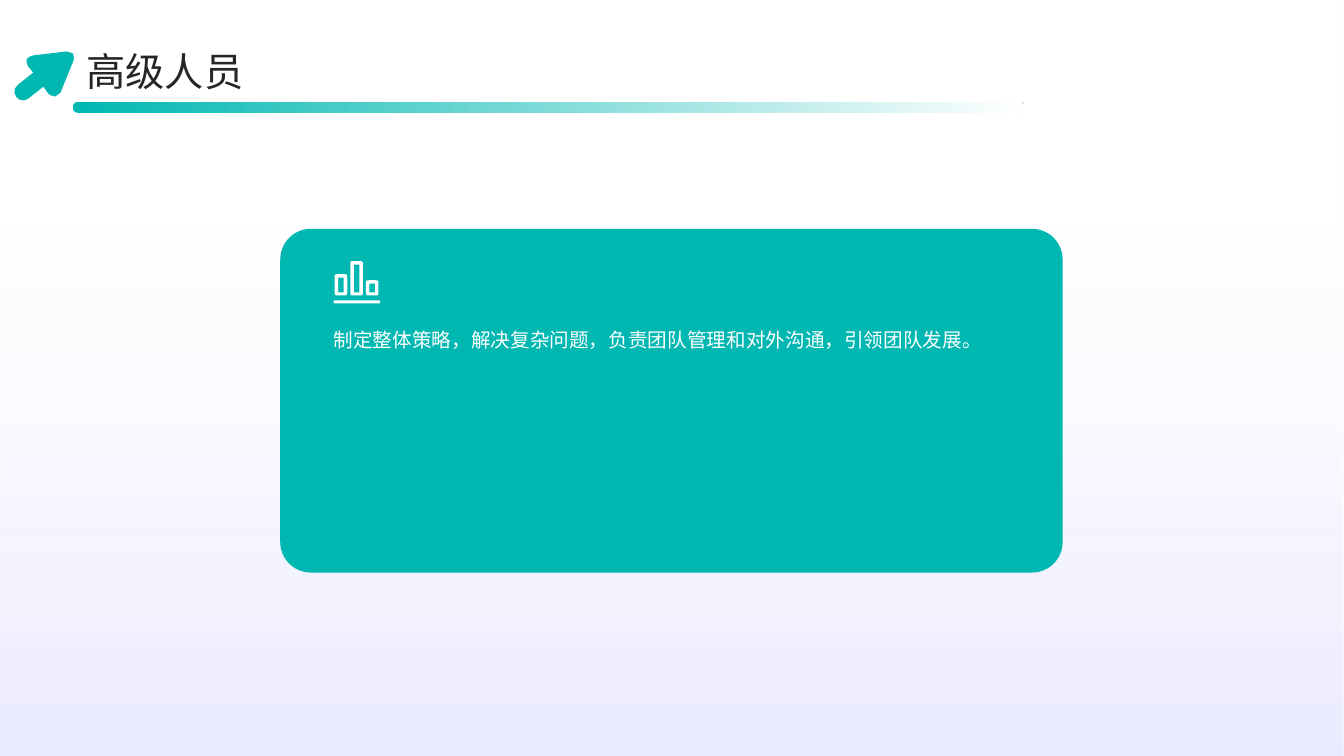
from lxml import etree
from pptx import Presentation, util as u
from pptx.dml.color import RGBColor
from pptx.enum import shapes, text
from pptx.oxml import ns

Inches = u.Inches
rgb = RGBColor.from_string
TEAL = "00B7B2"
FONT = "Noto Sans CJK SC"
UNITS = 1000  # outline units per inch


def trace(segments, steps=3):
    """Turn points (x, y) and cubic curves (x1, y1, x2, y2, x, y) into outline units."""
    points = []
    for segment in segments:
        if len(segment) == 2:
            points.append(segment)
            continue
        x0, y0 = points[-1]
        x1, y1, x2, y2, x3, y3 = segment
        for step in range(1, steps + 1):
            t = step / steps
            a, b, c, d = (1 - t) ** 3, 3 * t * (1 - t) ** 2, 3 * t * t * (1 - t), t ** 3
            points.append((a * x0 + b * x1 + c * x2 + d * x3,
                           a * y0 + b * y1 + c * y2 + d * y3))
    return [(round(x * UNITS), round(y * UNITS)) for x, y in points]


def write(shape, wording, size, color, spacing, anchor):
    """Fill a text shape with one left-aligned paragraph and no insets."""
    frame = shape.text_frame
    frame.word_wrap = True
    frame.auto_size = text.MSO_AUTO_SIZE.NONE
    frame.vertical_anchor = anchor
    frame.margin_left = frame.margin_top = frame.margin_right = frame.margin_bottom = 0
    paragraph = frame.paragraphs[0]
    paragraph.text = wording
    paragraph.alignment = text.PP_ALIGN.LEFT
    paragraph.line_spacing = spacing
    paragraph.font.size = u.Pt(size)
    paragraph.font.name = FONT
    paragraph.font.color.rgb = rgb(color)
    latin = next(paragraph._p.iter(ns.qn("a:latin")))
    latin.addnext(etree.Element(ns.qn("a:ea"), typeface=FONT))


presentation = Presentation()
presentation.slide_width = Inches(13.33)
presentation.slide_height = Inches(7.5)
slide = presentation.slides.add_slide(presentation.slide_layouts[5])

# Title
title = slide.shapes.title
title.left, title.top = Inches(0.86), Inches(0.42)
title.width, title.height = Inches(11.67), Inches(0.51)
write(title, "高级人员", 28, "262626", 1.1, text.MSO_ANCHOR.MIDDLE)

# Backdrop, card and title rule: kind, left, top, width, height, corner
panels = []
for kind, left, top, width, height, corner in (
    (shapes.MSO_SHAPE.RECTANGLE, 0, 0, 13.33, 7.5, None),
    (shapes.MSO_SHAPE.ROUNDED_RECTANGLE, 2.78, 2.27, 7.76, 3.41, 0.089),
    (shapes.MSO_SHAPE.ROUNDED_RECTANGLE, 0.72, 1.01, 9.44, 0.11, 0.5),
):
    panel = slide.shapes.add_shape(kind, Inches(left), Inches(top), Inches(width), Inches(height))
    panel.shadow.inherit = False
    panel.line.fill.background()
    if corner:
        panel.adjustments[0] = corner
    panels.append(panel)
backdrop, card, rule = panels
card.fill.solid()
card.fill.fore_color.rgb = rgb(TEAL)

# Gradients: angle, then position and colour of each stop
for panel, angle, stops in (
    (backdrop, 270, ((0.29, "BCBCFF"), (1, "7979FF"))),
    (rule, 0, ((0, TEAL), (1, "FFFFFF"))),
):
    panel.fill.gradient()
    panel.fill.gradient_angle = angle
    for stop, (position, color) in zip(panel.fill.gradient_stops, stops):
        stop.position = position
        stop.color.rgb = rgb(color)

# The backdrop fades in from clear and lies behind the title
backdrop_colors = backdrop.element.spPr.iter(ns.qn("a:srgbClr"))
for color, opacity in zip(list(backdrop_colors), (0, 15)):
    etree.SubElement(color, ns.qn("a:alpha"), val=str(opacity * 1000))
title.element.addprevious(backdrop.element)

# Card text
body = slide.shapes.add_textbox(Inches(3.31), Inches(3.14), Inches(6.7), Inches(2.29))
write(body, "制定整体策略，解决复杂问题，负责团队管理和对外沟通，引领团队发展。",
      14, "FFFFFF", 1.5, text.MSO_ANCHOR.TOP)

# Bar chart icon: a base line, then rounded bars, each with a square hole
boxes = [(3.31, 2.98, 3.77, 3.01, 0.015)]
holes = []
for left, top in ((3.32, 2.72), (3.475, 2.59), (3.63, 2.78)):
    boxes.append((left, top, left + 0.125, 2.93, 0.04))
    holes.append((left + 0.035, top + 0.035, left + 0.09, 2.9))
icon_contours = [trace([
    (x1 + r, y1), (x2 - r, y1), (x2, y1, x2, y1, x2, y1 + r),
    (x2, y2 - r), (x2, y2, x2, y2, x2 - r, y2),
    (x1 + r, y2), (x1, y2, x1, y2, x1, y2 - r),
    (x1, y1 + r), (x1, y1, x1, y1, x1 + r, y1),
]) for x1, y1, x2, y2, r in boxes]
icon_contours += [trace([(x1, y1), (x1, y2), (x2, y2), (x2, y1)]) for x1, y1, x2, y2 in holes]

# Arrow beside the title
arrow_contour = trace([
    (0.27, 0.58), (0.26, 0.6, 0.26, 0.62, 0.28, 0.66), (0.33, 0.72), (0.18, 0.84),
    (0.14, 0.87, 0.13, 0.92, 0.16, 0.96), (0.19, 1, 0.24, 1.01, 0.28, 0.98),
    (0.43, 0.86), (0.48, 0.93), (0.48, 0.93, 0.55, 1, 0.6, 0.92), (0.73, 0.6),
    (0.73, 0.6, 0.76, 0.5, 0.66, 0.51), (0.33, 0.55), (0.33, 0.55, 0.29, 0.56, 0.27, 0.58),
])

for contours, color in ((icon_contours, "FFFFFF"), ([arrow_contour], TEAL)):
    builder = slide.shapes.build_freeform(*contours[0][0], scale=Inches(1) / UNITS)
    for number, contour in enumerate(contours):
        if number:
            builder.move_to(*contour[0])
        builder.add_line_segments(contour[1:], close=True)
    drawing = builder.convert_to_shape()
    drawing.shadow.inherit = False
    drawing.line.fill.background()
    drawing.fill.solid()
    drawing.fill.fore_color.rgb = rgb(color)

presentation.save("out.pptx")
